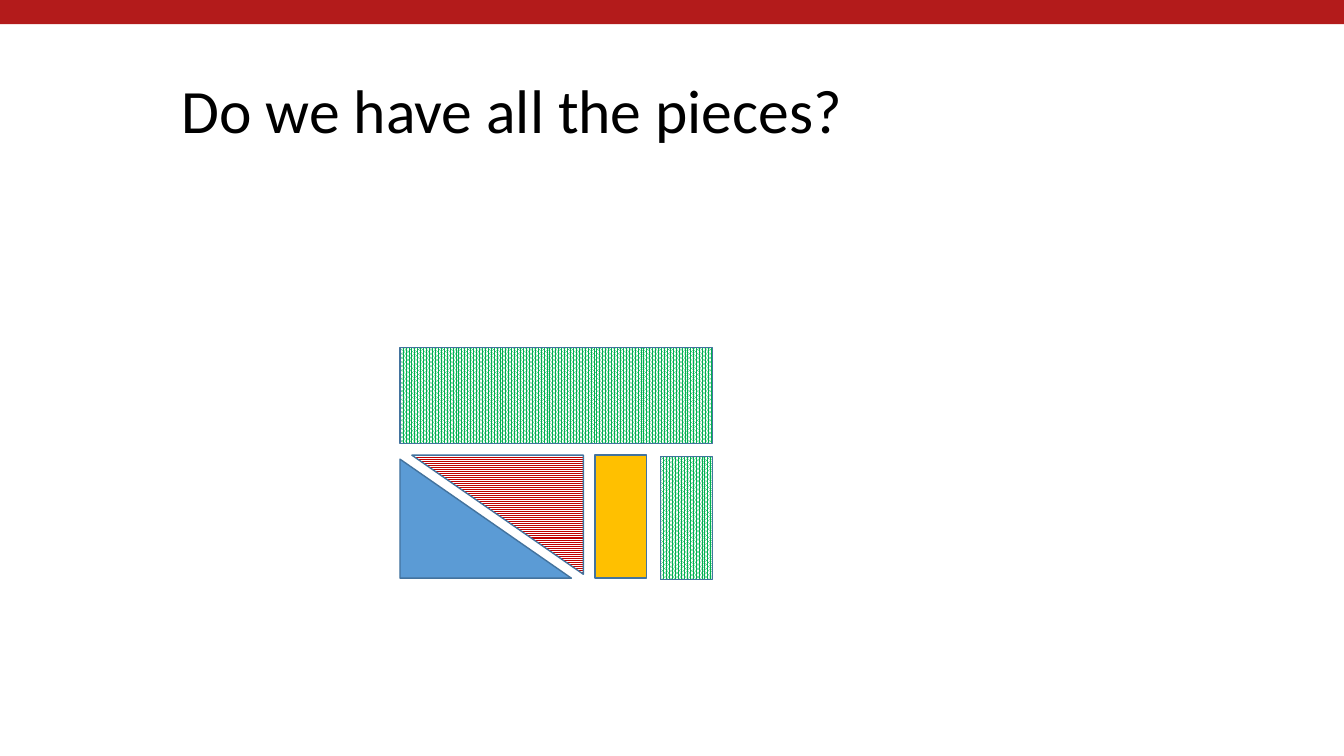
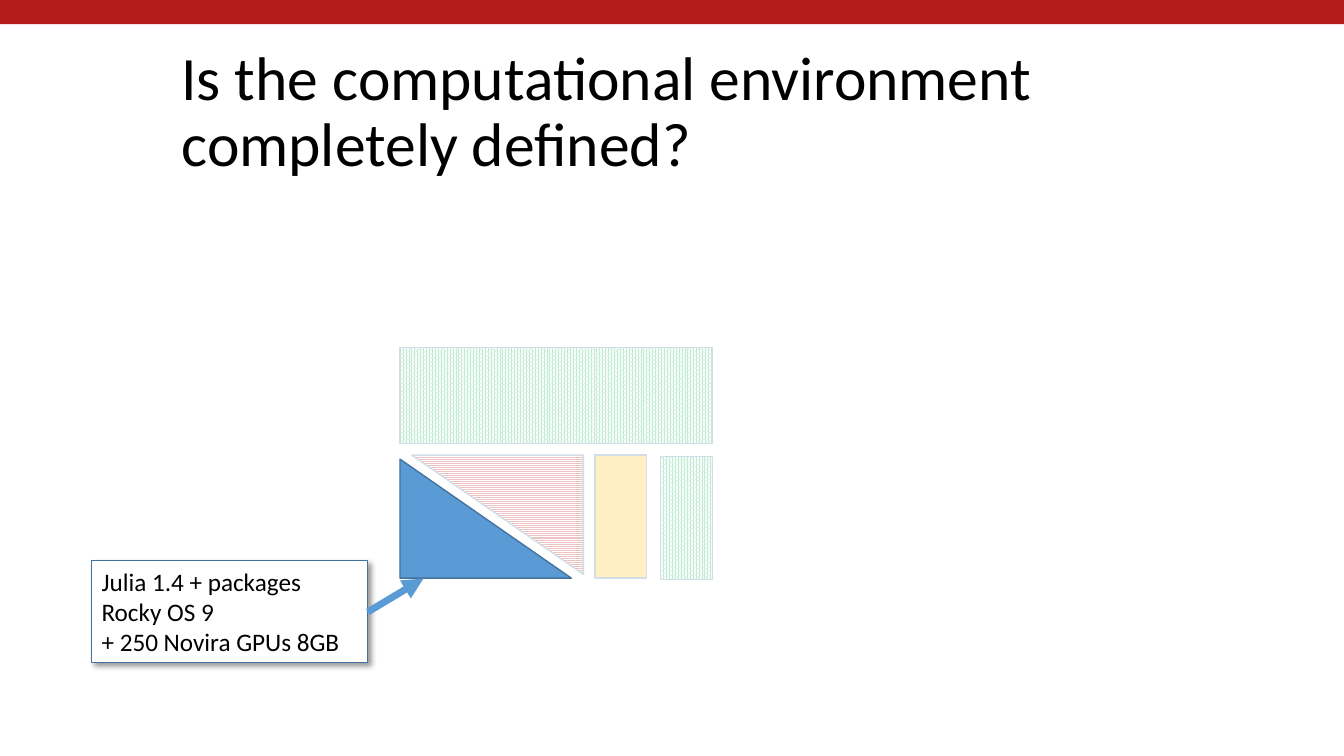
from lxml import etree
from pptx import Presentation
from pptx.dml.color import RGBColor
from pptx.enum.dml import MSO_PATTERN
from pptx.enum.shapes import MSO_CONNECTOR, MSO_SHAPE
from pptx.enum.text import MSO_ANCHOR, PP_ALIGN
from pptx.oxml.ns import qn
from pptx.util import Cm, Pt

RECT, TRIANGLE = MSO_SHAPE.RECTANGLE, MSO_SHAPE.RIGHT_TRIANGLE
DENSE, STRIPES = MSO_PATTERN.PERCENT_80, MSO_PATTERN.NARROW_HORIZONTAL
STRAIGHT = MSO_CONNECTOR.STRAIGHT
MIDDLE, LEFT = MSO_ANCHOR.MIDDLE, PP_ALIGN.LEFT

FONT = "Calibri"
BAND, OUTLINE, BLACK, WHITE = "B31B1B", "43739E", "000000", "FFFFFF"
BLUE, GREEN, RED, GOLD = "5B9BD5", "00B050", "C00000", "FFC000"

WIDTH, HEIGHT = 33.87, 19.05
TITLE_BOX = (4.32, 1.02, 27.18, 3.68)

# Puzzle grid, in cm
X, Y, GAP = 10.08, 8.76, 0.3
TOP_W, TOP_H = 7.87, 2.41
TRI_W, TRI_H = 4.32, 3.0
BAR_W, BAR_H = 1.3, 3.1
ROW_Y = Y + TOP_H + GAP
BAR_X = X + GAP + TRI_W + GAP
LAST_X = X + TOP_W - BAR_W

# preset, box, colour, pattern, rotation
ENVIRONMENT = (TRIANGLE, (X, ROW_Y + BAR_H - TRI_H, TRI_W, TRI_H), BLUE, None, 0)
OTHER_PIECES = [
    (RECT, (X, Y, TOP_W, TOP_H), GREEN, DENSE, 0),
    (TRIANGLE, (X + GAP, ROW_Y, TRI_W, TRI_H), RED, STRIPES, 180),
    (RECT, (BAR_X, ROW_Y, BAR_W, BAR_H), GOLD, None, 0),
    (RECT, (LAST_X, ROW_Y + 0.03, BAR_W, BAR_H), GREEN, DENSE, 0),
]
VEIL_BOX = (X - GAP, Y - 0.25, 8.51, 6.27)
VEIL_OPACITY = 76

CALLOUT_BOX = (2.31, 14.12, 6.96, 2.57)
ARROW = (9.27, 15.42, 10.67, 14.58)

SLIDES = [
    {"title": "Do we have all the pieces?", "callout": []},
    {"title": "Is the computational environment completely defined?",
     "callout": ["Julia 1.4 + packages", "Rocky OS 9", "+ 250 Novira GPUs 8GB"]},
]


def rgb(color):
    return RGBColor.from_string(color)


def cm(values):
    return [Cm(v) for v in values]


def sub(parent, tag, **attrs):
    return etree.SubElement(parent, qn(tag), {k: str(v) for k, v in attrs.items()})


def set_font(p, size):
    p.alignment = LEFT
    for name, value in {"name": FONT, "size": Pt(size)}.items():
        setattr(p.font, name, value)
    p.font.color.rgb = rgb(BLACK)


def add_shape(s, preset, box, fill, pattern=None, rotation=0, line=1):
    sp = s.shapes.add_shape(preset, *cm(box))
    sp.shadow.inherit = False
    sp.rotation = rotation
    if pattern is None:
        sp.fill.solid()
        sp.fill.fore_color.rgb = rgb(fill)
    else:
        sp.fill.patterned()
        sp.fill.pattern = pattern
        sp.fill.fore_color.rgb = rgb(fill)
        sp.fill.back_color.rgb = rgb(WHITE)
    if line:
        sp.line.color.rgb = rgb(OUTLINE)
        sp.line.width = Pt(line)
    else:
        sp.line.fill.background()
    return sp


def add_veil(s):
    """Fade the pieces drawn so far with a translucent white sheet."""
    sp = add_shape(s, RECT, VEIL_BOX, WHITE, line=0)
    color = sp.element.spPr.find(".//" + qn("a:srgbClr"))
    sub(color, "a:alpha", val=VEIL_OPACITY * 1000)


def add_callout(s, lines):
    sp = add_shape(s, RECT, CALLOUT_BOX, WHITE, line=0.75)
    shadow = sub(sp.element.spPr.find(qn("a:effectLst")), "a:outerShdw",
                 blurRad=Pt(4), dist=Pt(3), dir=45 * 60000, algn="tl", rotWithShape=0)
    sub(sub(shadow, "a:srgbClr", val=BLACK), "a:alpha", val=40000)
    tf = sp.text_frame
    tf.word_wrap = True
    tf.vertical_anchor = MIDDLE
    tf.text = "\n".join(lines)
    for p in tf.paragraphs:
        set_font(p, 18)

    arrow = s.shapes.add_connector(STRAIGHT, *cm(ARROW))
    arrow.line.color.rgb = rgb(BLUE)
    arrow.line.width = Pt(5)
    sub(arrow.line._get_or_add_ln(), "a:tailEnd", type="triangle")
    sub(arrow._element.spPr, "a:effectLst")


def set_title(s, text):
    title = s.shapes.title
    for name, value in zip(("left", "top", "width", "height"), cm(TITLE_BOX)):
        setattr(title, name, value)
    tf = title.text_frame
    tf.text = text
    tf.word_wrap = True
    tf.vertical_anchor = MIDDLE
    p = tf.paragraphs[0]
    p.line_spacing = 0.9
    set_font(p, 44)


def main():
    prs = Presentation()
    prs.slide_width, prs.slide_height = cm((WIDTH, HEIGHT))
    layout = prs.slide_layouts.get_by_name("Title Only")
    for i, content in enumerate(SLIDES):
        s = prs.slides.add_slide(layout)
        if i == 0:  # the band belongs to the layout, behind its placeholders
            band = add_shape(s, RECT, (0, 0, WIDTH, 0.61), BAND, line=0)
            layout.shapes.element.insert(2, band.element)
        set_title(s, content["title"])
        for piece in OTHER_PIECES:
            add_shape(s, *piece)
        if content["callout"]:
            add_veil(s)
        add_shape(s, *ENVIRONMENT)
        if content["callout"]:
            add_callout(s, content["callout"])
    prs.save("out.pptx")


if __name__ == "__main__":
    main()
